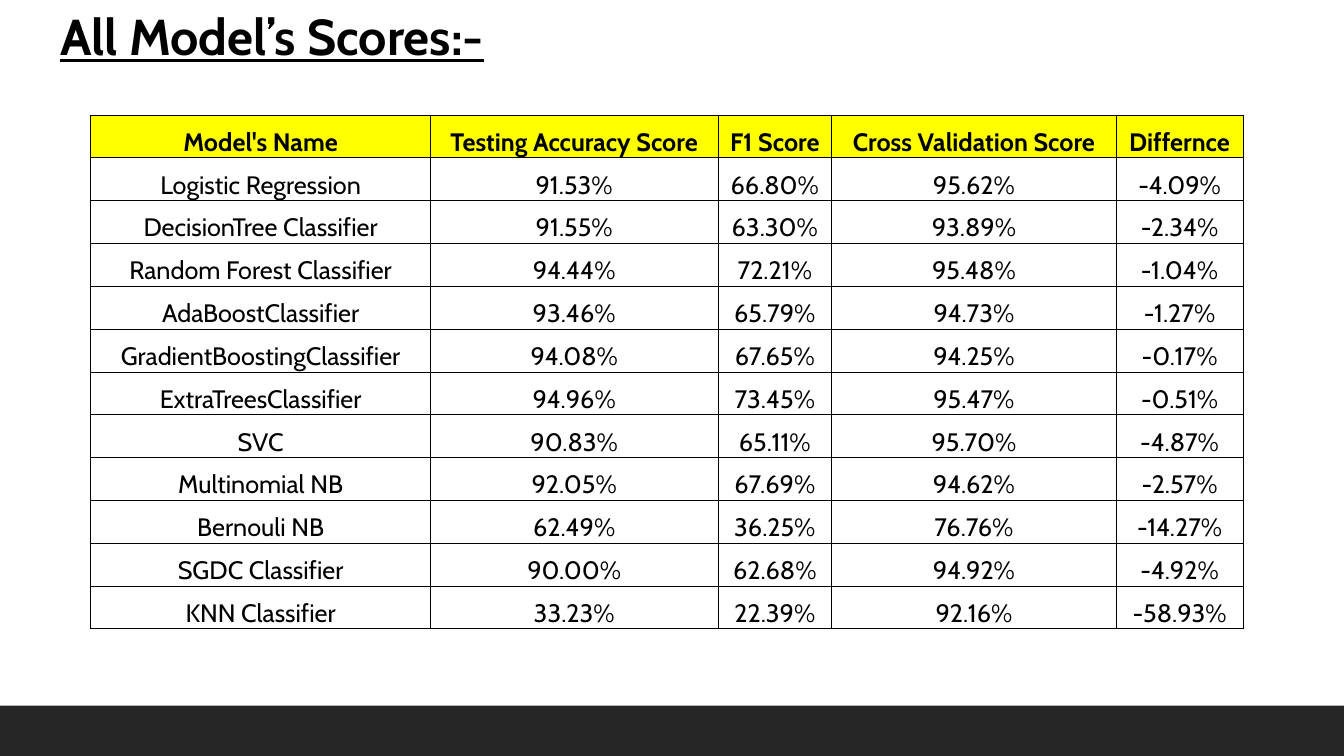
from lxml.etree import SubElement
from pptx import Presentation
from pptx.dml.color import RGBColor
from pptx.enum.shapes import MSO_SHAPE as Shape
from pptx.enum.text import MSO_ANCHOR as Anchor, MSO_AUTO_SIZE as AutoSize, PP_ALIGN as Align
from pptx.oxml.ns import qn
from pptx.util import Inches, Pt

BLACK = RGBColor(0x00, 0x00, 0x00)
CHARCOAL = RGBColor(0x26, 0x26, 0x26)
YELLOW = RGBColor(0xFF, 0xFF, 0x00)
FONT = "Cabin"
COLUMN_WIDTHS = (3.37, 2.85, 1.13, 2.82, 1.26)
ROW_HEIGHT = 0.425
SCORES = (
    ("Model's Name", "Testing Accuracy Score", "F1 Score", "Cross Validation Score", "Differnce"),
    ("Logistic Regression", "91.53%", "66.80%", "95.62%", "-4.09%"),
    ("DecisionTree Classifier", "91.55%", "63.30%", "93.89%", "-2.34%"),
    ("Random Forest Classifier", "94.44%", "72.21%", "95.48%", "-1.04%"),
    ("AdaBoostClassifier", "93.46%", "65.79%", "94.73%", "-1.27%"),
    ("GradientBoostingClassifier", "94.08%", "67.65%", "94.25%", "-0.17%"),
    ("ExtraTreesClassifier", "94.96%", "73.45%", "95.47%", "-0.51%"),
    ("SVC", "90.83%", "65.11%", "95.70%", "-4.87%"),
    ("Multinomial NB", "92.05%", "67.69%", "94.62%", "-2.57%"),
    ("Bernouli NB", "62.49%", "36.25%", "76.76%", "-14.27%"),
    ("SGDC Classifier", "90.00%", "62.68%", "94.92%", "-4.92%"),
    ("KNN Classifier", "33.23%", "22.39%", "92.16%", "-58.93%"),
)


def write(para, text, size, bold):
    """Fill a paragraph with black text in the slide's font."""
    para.text = text
    font = para.font
    font.name, font.size, font.bold = FONT, Pt(size), bold
    font.color.rgb = BLACK


def add_footer_bar(page):
    """Draw the dark bar along the bottom edge."""
    bar = page.shapes.add_shape(Shape.RECTANGLE, Inches(0), Inches(7), Inches(13.33), Inches(0.5))
    bar.shadow.inherit = False
    bar.fill.solid()
    bar.fill.fore_color.rgb = CHARCOAL
    bar.line.fill.background()


def add_title(page, text):
    """Write the underlined heading."""
    box = page.shapes.add_textbox(Inches(0.5), Inches(0), Inches(8.27), Inches(0.71))
    box.text_frame.word_wrap = True
    box.text_frame.auto_size = AutoSize.SHAPE_TO_FIT_TEXT
    para = box.text_frame.paragraphs[0]
    write(para, text, 36, True)
    para.font.underline = True


def add_borders(cell):
    """Give a cell thin black lines on all four sides."""
    properties = cell._tc.get_or_add_tcPr()
    for side in ("a:lnL", "a:lnR", "a:lnT", "a:lnB"):
        line = SubElement(properties, qn(side), w=str(Pt(0.5)))
        fill = SubElement(line, qn("a:solidFill"))
        SubElement(fill, qn("a:srgbClr"), val=str(BLACK))


def fill_cell(cell, text, is_header):
    """Write and style one table cell."""
    cell.margin_left = cell.margin_right = cell.margin_top = Inches(0.01)
    cell.margin_bottom = Inches(0)
    cell.vertical_anchor = Anchor.BOTTOM
    para = cell.text_frame.paragraphs[0]
    write(para, text, 18, is_header)
    para.alignment = Align.CENTER
    add_borders(cell)
    if is_header:
        cell.fill.solid()
        cell.fill.fore_color.rgb = YELLOW
    else:
        cell.fill.background()


def add_score_table(page):
    """Build the table of model scores."""
    table = page.shapes.add_table(
        len(SCORES), len(COLUMN_WIDTHS), Inches(0.9), Inches(1.14),
        Inches(sum(COLUMN_WIDTHS)), Inches(ROW_HEIGHT * len(SCORES))).table
    table.horz_banding = False
    for column, width in zip(table.columns, COLUMN_WIDTHS):
        column.width = Inches(width)
    for row_index, values in enumerate(SCORES):
        table.rows[row_index].height = Inches(ROW_HEIGHT)
        for column_index, value in enumerate(values):
            fill_cell(table.cell(row_index, column_index), value, row_index == 0)


def main():
    """Build and save the slide."""
    deck = Presentation()
    deck.slide_width, deck.slide_height = Inches(13.33), Inches(7.5)
    page = deck.slides.add_slide(deck.slide_layouts[6])
    add_footer_bar(page)
    add_title(page, "All Model’s Scores:-")
    add_score_table(page)
    deck.save("out.pptx")


if __name__ == "__main__":
    main()
